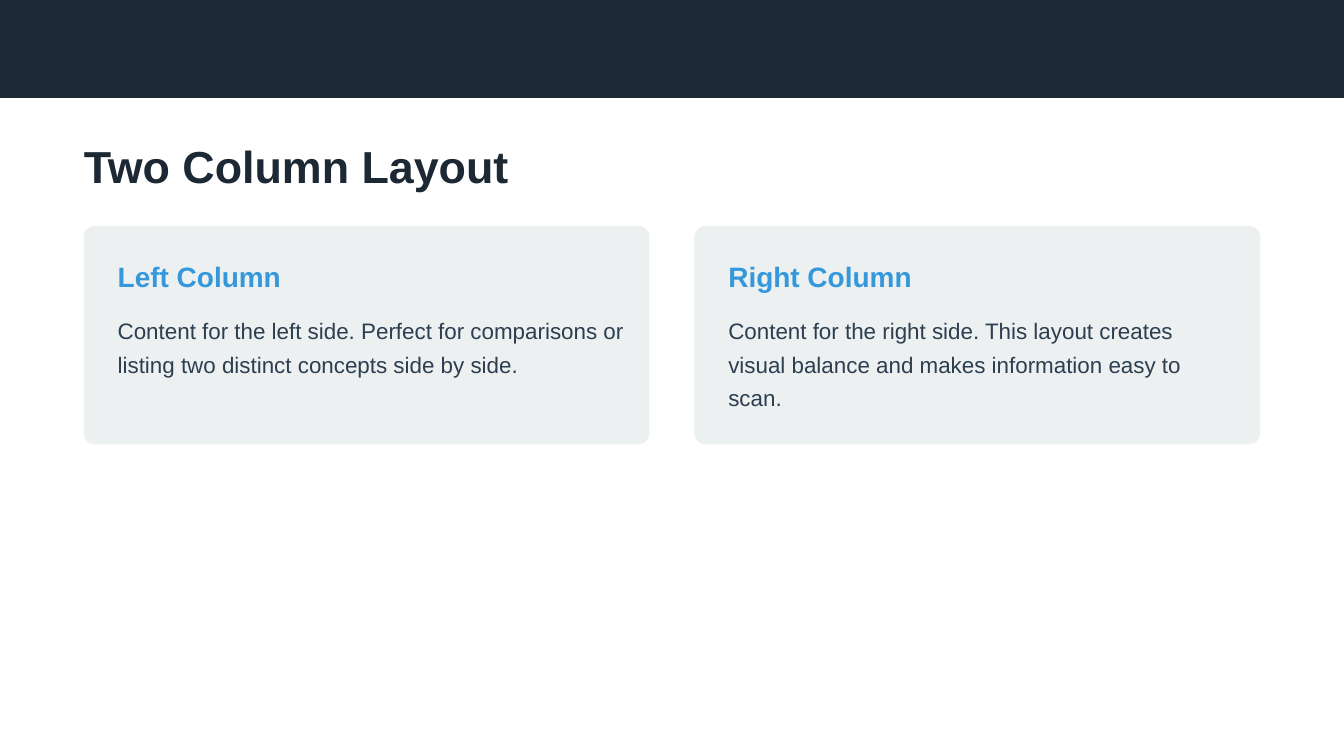
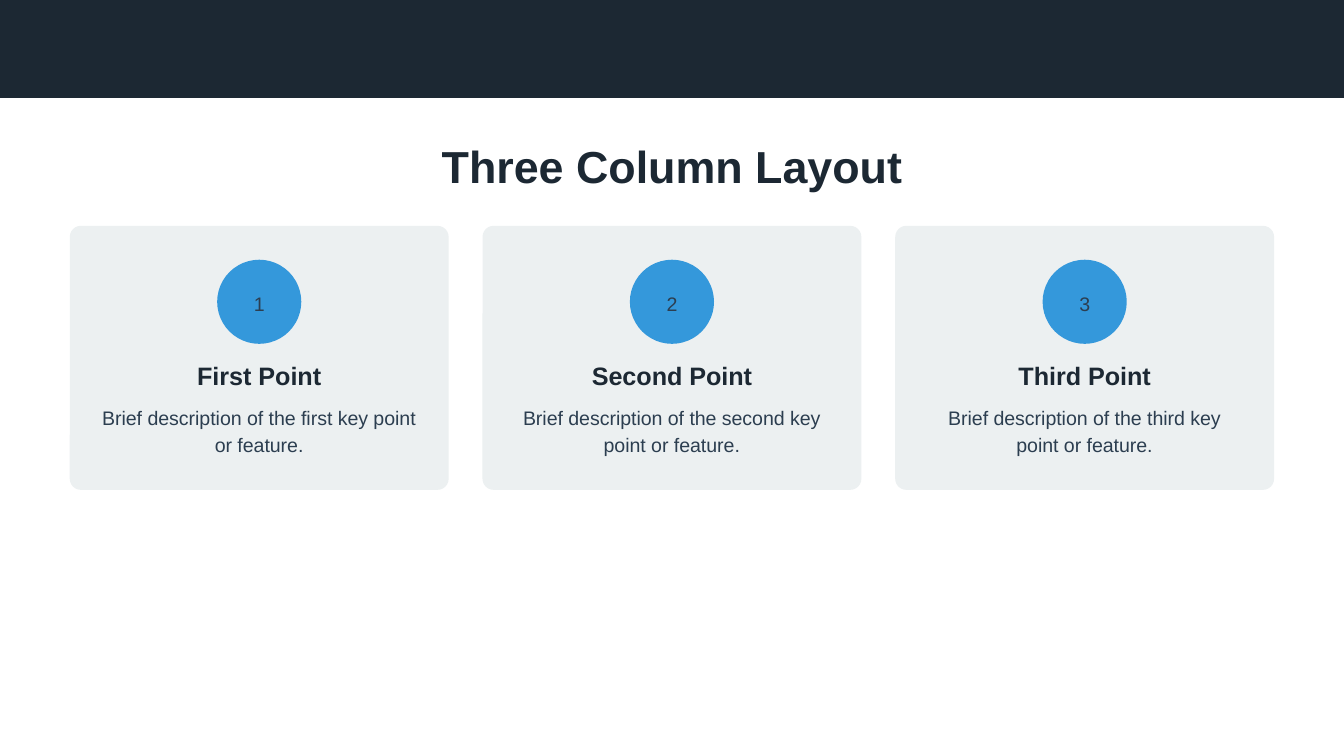
from pptx import Presentation
from pptx.dml.color import RGBColor
from pptx.enum.shapes import MSO_SHAPE as SHAPE
from pptx.enum.text import MSO_ANCHOR as ANCHOR, PP_ALIGN as ALIGN
from pptx.util import Cm, Pt

# Shared look, lengths in cm
COLORS = {
    "navy": "1C2833",
    "blue": "3498DB",
    "text": "2C3E50",
    "card": "ECF0F1",
}
FONT = "Arial"
SLIDE_W, SLIDE_H = 25.4, 14.29
BAND_H = 1.85
TITLE_Y, TITLE_H = 2.69, 0.94
CARD_Y = 4.27
RADIUS = 0.21
PAD = 0.64
CIRCLE = 1.59

TWO_COLUMNS = [
    ("Left Column", 1.27,
     "Content for the left side. Perfect for comparisons or "
     "listing two distinct concepts side by side."),
    ("Right Column", 1.91,
     "Content for the right side. This layout creates visual balance "
     "and makes information easy to scan."),
]
THREE_COLUMNS = [
    ("First Point", "Brief description of the first key point or feature."),
    ("Second Point", "Brief description of the second key point or feature."),
    ("Third Point", "Brief description of the third key point or feature."),
]


def add_box(s, x, y, w, h, color, radius=0):
    """Add a plain filled rectangle, with rounded corners if radius is set."""
    kind = SHAPE.ROUNDED_RECTANGLE if radius else SHAPE.RECTANGLE
    sp = s.shapes.add_shape(kind, Cm(x), Cm(y), Cm(w), Cm(h))
    if radius:
        sp.adjustments[0] = radius / min(w, h)
    sp.fill.solid()
    sp.fill.fore_color.rgb = RGBColor.from_string(COLORS[color])
    sp.line.fill.background()
    sp.shadow.inherit = False
    return sp


def add_text(s, text, x, y, w, h, size=12, color="text", bold=False,
             align=ALIGN.LEFT, leading=18, after=0, wrap=True):
    """Add a text box without margins."""
    tf = s.shapes.add_textbox(Cm(x), Cm(y), Cm(w), Cm(h)).text_frame
    tf.margin_left = tf.margin_right = tf.margin_top = tf.margin_bottom = 0
    tf.word_wrap = wrap
    tf.vertical_anchor = ANCHOR.TOP
    p = tf.paragraphs[0]
    p.alignment = align
    p.line_spacing = Pt(leading)
    p.space_after = Pt(after)
    r = p.add_run()
    r.text = text
    r.font.name = FONT
    r.font.size = Pt(size)
    r.font.bold = bold
    r.font.color.rgb = RGBColor.from_string(COLORS[color])


def add_slide(prs, title, x, w, align=ALIGN.LEFT):
    """Add a blank slide with the top band and the title."""
    s = prs.slides.add_slide(prs.slide_layouts[6])
    add_box(s, 0, 0, SLIDE_W, BAND_H, "navy")
    add_text(s, title, x, TITLE_Y, w, TITLE_H, size=24, color="navy",
             bold=True, align=align, leading=26.7, after=18)
    return s


def column_lefts(count, width, gap):
    """Return the left edges of equal columns centred on the slide."""
    start = (SLIDE_W - count * width - (count - 1) * gap) / 2
    return [start + i * (width + gap) for i in range(count)]


def add_column_card(s, x, w, heading, body_h, body):
    """Card with a blue heading and left-aligned text."""
    add_box(s, x, CARD_Y, w, 4.13, "card", RADIUS)
    add_text(s, heading, x + PAD, CARD_Y + PAD, 9.6, 0.64, size=15,
             color="blue", bold=True, after=9)
    add_text(s, body, x + PAD, CARD_Y + 1.6, 9.6, body_h)


def add_point_card(s, x, w, number, heading, body):
    """Card with a numbered circle above centred text."""
    centre = x + w / 2
    text_w, digit_w = 6.02, 0.21
    text_x = centre - text_w / 2
    small = dict(size=10.5, align=ALIGN.CENTER, leading=14.7)

    add_box(s, x, CARD_Y, w, 4.99, "card", RADIUS)
    add_box(s, centre - CIRCLE / 2, CARD_Y + PAD, CIRCLE, CIRCLE, "blue",
            CIRCLE / 2)
    add_text(s, str(number), centre - digit_w / 2, CARD_Y + 1.17, digit_w,
             0.52, wrap=False, **small)
    add_text(s, heading, text_x, CARD_Y + 2.54, text_w, 0.57, size=13.5,
             color="navy", bold=True, align=ALIGN.CENTER, leading=16.2,
             after=6)
    add_text(s, body, text_x, CARD_Y + 3.32, text_w, 1.04, **small)


def main():
    prs = Presentation()
    prs.slide_width, prs.slide_height = Cm(SLIDE_W), Cm(SLIDE_H)

    # Two columns
    width = 10.69
    lefts = column_lefts(len(TWO_COLUMNS), width, 0.85)
    s = add_slide(prs, "Two Column Layout", lefts[0], 11.35)
    for x, column in zip(lefts, TWO_COLUMNS):
        add_column_card(s, x, width, *column)

    # Three columns
    width, title_w = 7.16, 11.63
    lefts = column_lefts(len(THREE_COLUMNS), width, 0.64)
    s = add_slide(prs, "Three Column Layout", (SLIDE_W - title_w) / 2,
                  title_w, align=ALIGN.CENTER)
    for number, (x, point) in enumerate(zip(lefts, THREE_COLUMNS), start=1):
        add_point_card(s, x, width, number, *point)

    prs.save("out.pptx")


if __name__ == "__main__":
    main()
